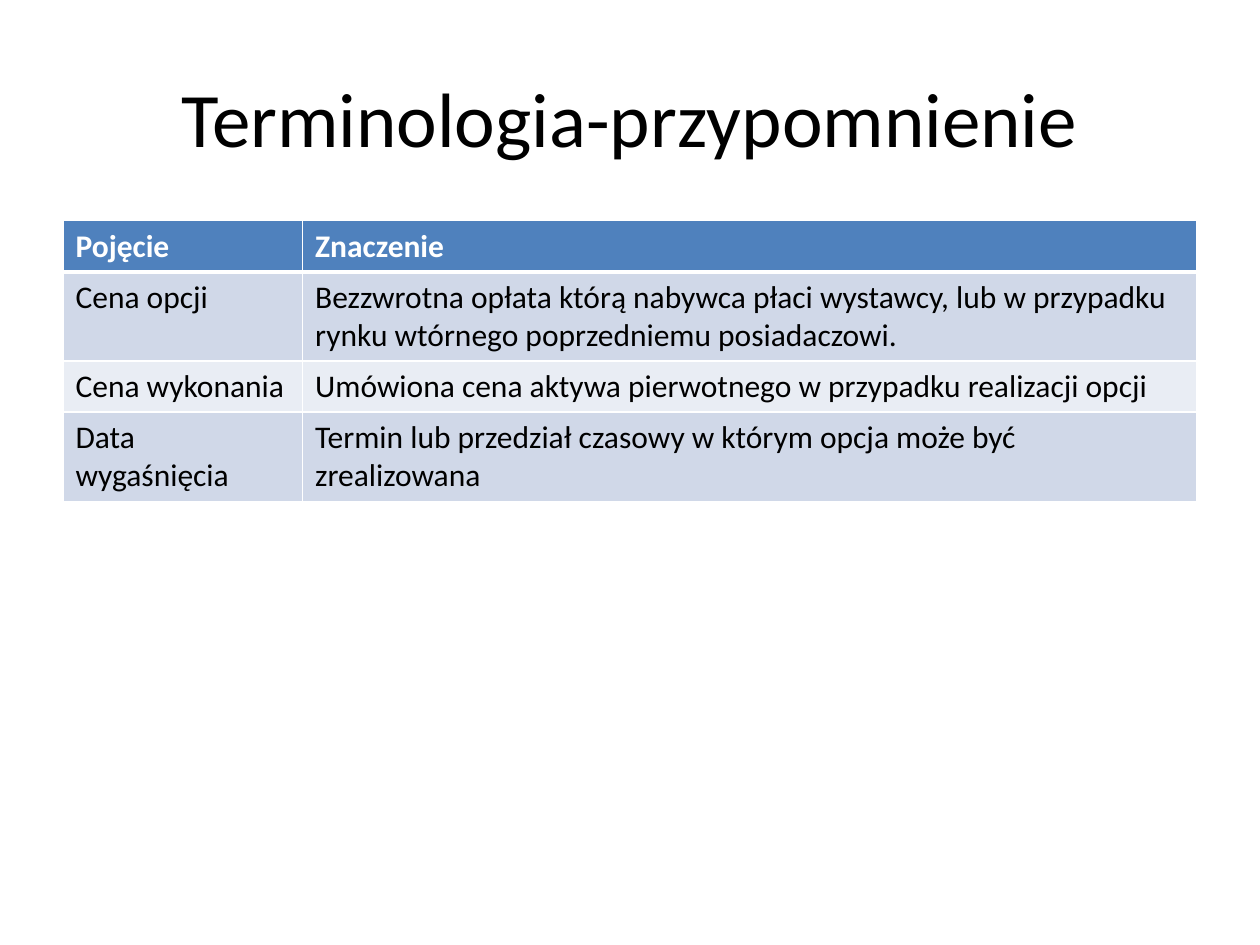
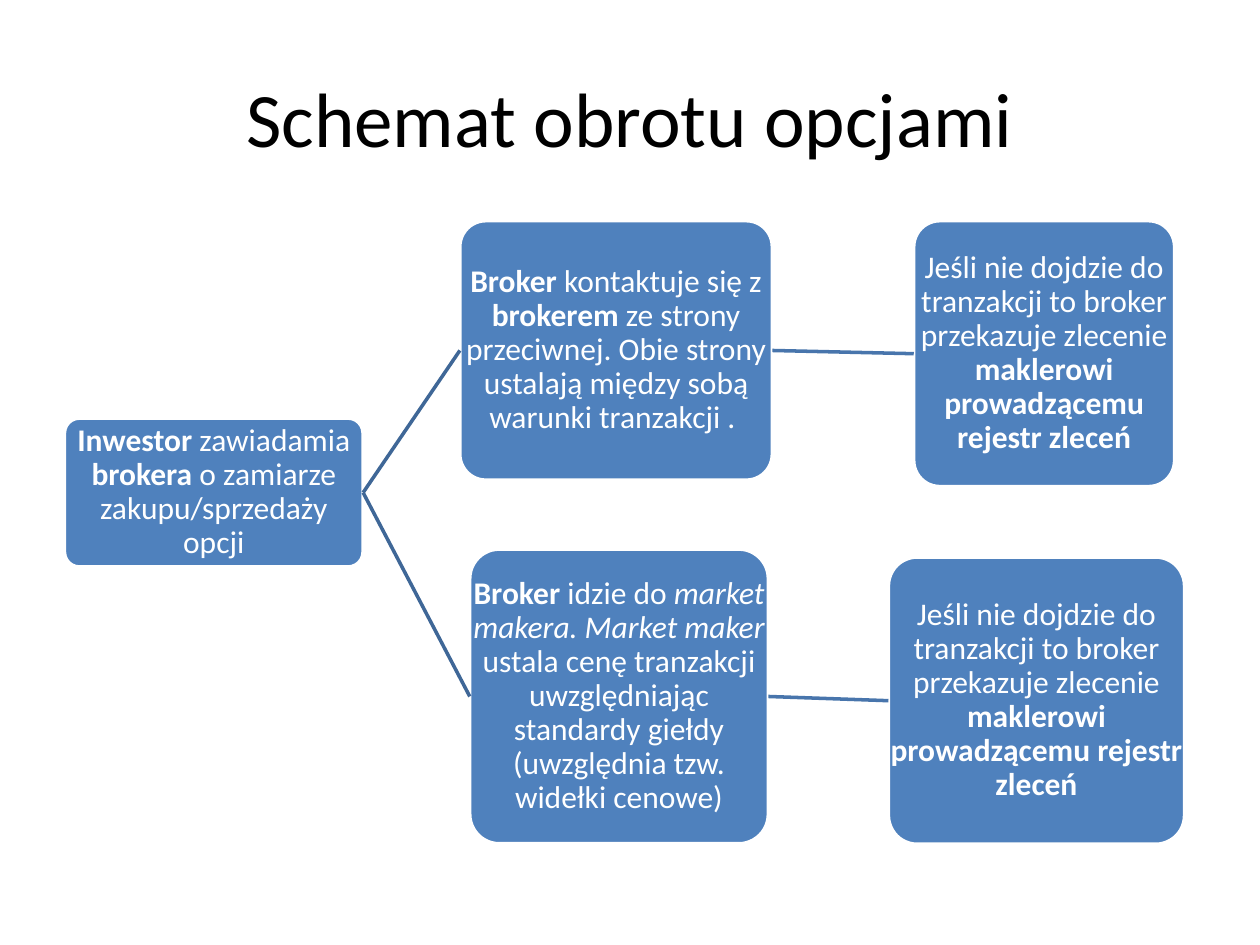
from lxml.etree import SubElement
from pptx import Presentation
from pptx.dml.color import RGBColor
from pptx.enum.shapes import MSO_CONNECTOR as Connector, MSO_SHAPE as Shape
from pptx.enum.text import MSO_ANCHOR as Anchor, PP_ALIGN as Align
from pptx.oxml import parse_xml
from pptx.oxml.ns import nsdecls, qn
from pptx.util import Cm, Pt

FONT = "Calibri"
BLACK, WHITE, BLUE = "000000", "FFFFFF", "4F81BD"
BAND_DARK, BAND_LIGHT = "D0D8E8", "E9EDF4"
FIRST_LINK, SECOND_LINK = "3F6797", "4875AC"
LEFT, CONTENT_TOP, CONTENT_WIDTH = 1.27, 4.45, 22.86
RIGHT_SIDE, LEFT_SIDE = 3, 1

TERMS = [
    ("Pojęcie", "Znaczenie"),
    ("Cena opcji", "Bezzwrotna opłata którą nabywca płaci wystawcy, lub w przypadku "
                   "rynku wtórnego poprzedniemu posiadaczowi."),
    ("Cena wykonania", "Umówiona cena aktywa pierwotnego w przypadku realizacji opcji"),
    ("Data wygaśnięcia", "Termin lub przedział czasowy w którym opcja może być zrealizowana"),
]
COLUMN_WIDTHS = (4.83, 18.03)
ROW_HEIGHTS = (1.03, 1.8, 1.03, 1.8)

INVESTOR = [("Inwestor", "b"), (" zawiadamia ", ""), ("brokera ", "b"),
            ("o zamiarze zakupu/sprzedaży opcji", "")]
OTHER_BROKER = [("Broker", "b"), (" kontaktuje się z ", ""), ("brokerem", "b"),
                (" ze strony przeciwnej. Obie strony ustalają między sobą "
                 "warunki tranzakcji . ", "")]
MARKET_MAKER = [("Broker", "b"), (" idzie do ", ""), ("market makera. Market maker ", "i"),
                ("ustala cenę tranzakcji uwzględniając standardy giełdy "
                 "(uwzględnia tzw. widełki cenowe)", "")]
ORDER_BOOK = [("Jeśli nie dojdzie do tranzakcji to broker przekazuje zlecenie ", ""),
              ("maklerowi prowadzącemu rejestr zleceń", "b")]


def color(value):
    return RGBColor.from_string(value)


def write_text(frame, runs, size=18, ink=BLACK, align=Align.LEFT, spacing=None):
    paragraph = frame.paragraphs[0]
    paragraph.alignment = align
    paragraph.line_spacing = spacing
    for text, style in runs:
        run = paragraph.add_run()
        run.text = text
        font = run.font
        font.name, font.size = FONT, Pt(size)
        font.bold, font.italic = "b" in style, "i" in style
        font.color.rgb = color(ink)


def add_label(slide, position, runs, margin, **text_format):
    frame = slide.shapes.add_textbox(*map(Cm, position)).text_frame
    frame.word_wrap = True
    frame.vertical_anchor = Anchor.MIDDLE
    frame.margin_left = frame.margin_right = Cm(margin)
    frame.margin_top = frame.margin_bottom = Cm(margin)
    write_text(frame, runs, align=Align.CENTER, **text_format)


def add_titled_slide(presentation, title):
    slide = presentation.slides.add_slide(presentation.slide_layouts[6])
    add_label(slide, (LEFT, 0.76, CONTENT_WIDTH, 3.18), [(title, "")], 0.25, size=44)
    return slide


def border_cell(cell, bottom):
    sides = {"lnL": 1, "lnR": 1, "lnT": 1, "lnB": bottom}
    for index, (side, width) in enumerate(sides.items()):
        cell._tc.get_or_add_tcPr().insert(index, parse_xml(
            f'<a:{side} {nsdecls("a")} w="{Pt(width)}"><a:solidFill>'
            f'<a:srgbClr val="{WHITE}"/></a:solidFill></a:{side}>'))


def add_term_table(slide):
    frame = slide.shapes.add_table(
        len(TERMS), len(COLUMN_WIDTHS), Cm(LEFT), Cm(CONTENT_TOP),
        Cm(CONTENT_WIDTH), Cm(sum(ROW_HEIGHTS)))
    table = frame.table
    for column, width in zip(table.columns, COLUMN_WIDTHS):
        column.width = Cm(width)
    for index, (row, height, texts) in enumerate(zip(table.rows, ROW_HEIGHTS, TERMS)):
        row.height = Cm(height)
        header = index == 0
        fill = BLUE if header else BAND_DARK if index % 2 else BAND_LIGHT
        for cell, text in zip(row.cells, texts):
            cell.fill.solid()
            cell.fill.fore_color.rgb = color(fill)
            border_cell(cell, bottom=3 if header else 1)
            write_text(cell.text_frame, [(text, "b" if header else "")],
                       ink=WHITE if header else BLACK)


def add_step(slide, position, runs):
    step = slide.shapes.add_shape(Shape.ROUNDED_RECTANGLE, *map(Cm, position))
    step.adjustments[0] = 0.1
    step.shadow.inherit = False
    step.fill.solid()
    step.fill.fore_color.rgb = color(BLUE)
    step.line.color.rgb = color(WHITE)
    step.line.width = Pt(2)
    add_label(slide, position, runs, 0.03, ink=WHITE, spacing=0.9)
    return step


def link_steps(slide, source, target, ink):
    link = slide.shapes.add_connector(Connector.STRAIGHT, 0, 0, 0, 0)
    link.begin_connect(source, RIGHT_SIDE)
    link.end_connect(target, LEFT_SIDE)
    link.line.color.rgb = color(ink)
    link.line.width = Pt(2)
    SubElement(link._element.spPr, qn("a:effectLst"))


def add_trading_scheme(slide):
    investor = add_step(slide, (1.3, 8.43, 6.02, 3), INVESTOR)
    branches = [
        ((9.27, CONTENT_TOP, 6.3, 5.23), OTHER_BROKER, (18.42, CONTENT_TOP, 5.26, 5.36)),
        ((9.47, 11.07, 6.02, 5.94), MARKET_MAKER, (17.91, 11.23, 5.97, 5.79)),
    ]
    for broker_position, broker_text, book_position in branches:
        broker = add_step(slide, broker_position, broker_text)
        order_book = add_step(slide, book_position, ORDER_BOOK)
        link_steps(slide, investor, broker, FIRST_LINK)
        link_steps(slide, broker, order_book, SECOND_LINK)


def main():
    presentation = Presentation()
    presentation.slide_width, presentation.slide_height = Cm(25.4), Cm(19.05)
    add_term_table(add_titled_slide(presentation, "Terminologia-przypomnienie"))
    add_trading_scheme(add_titled_slide(presentation, "Schemat obrotu opcjami"))
    presentation.save("out.pptx")


if __name__ == "__main__":
    main()
